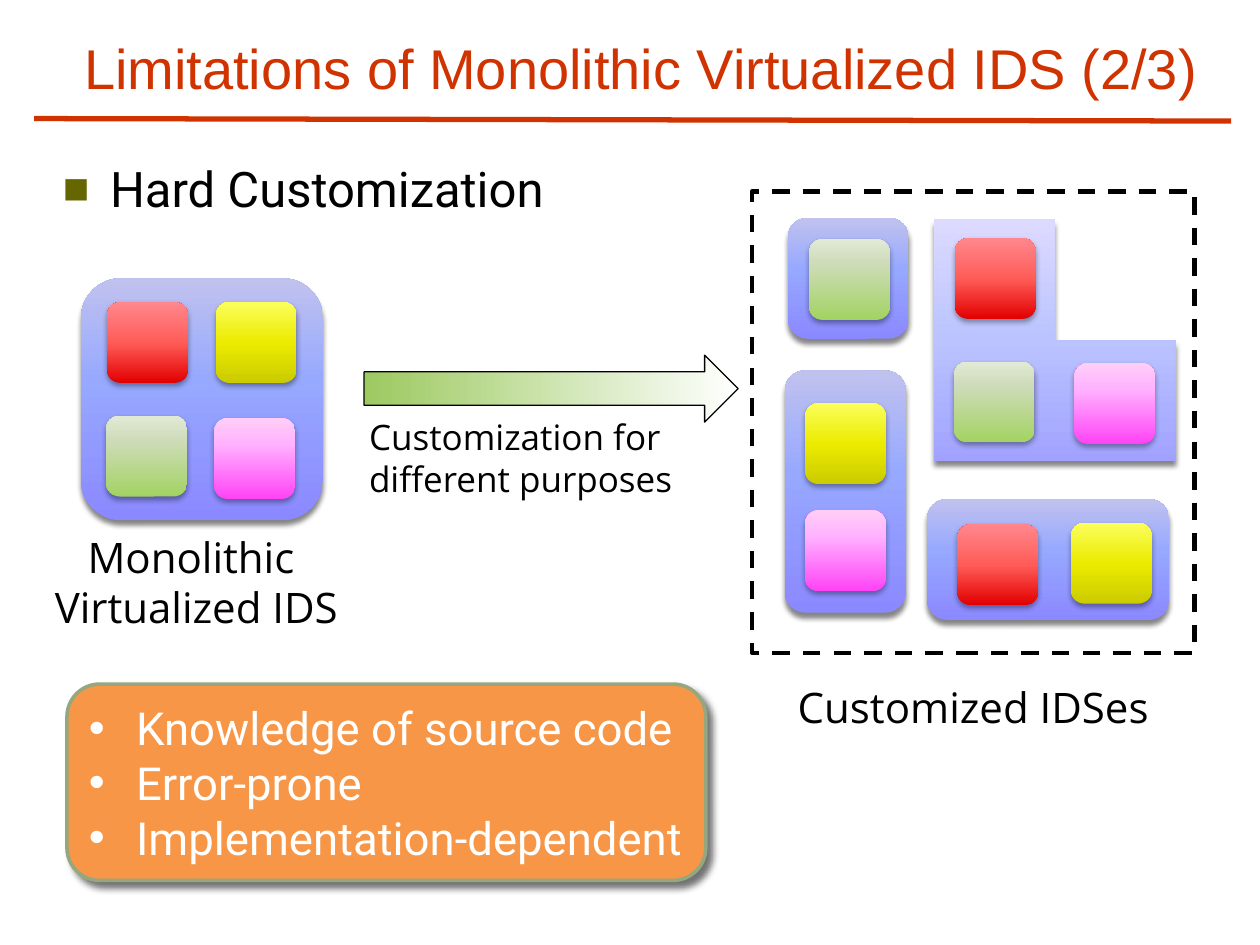
import pptx
import pptx.util
import pptx.dml.color
import pptx.enum.dml
import pptx.enum.shapes
import pptx.enum.text
import pptx.oxml.ns
import lxml.etree
from dataclasses import dataclass, field

Cm = pptx.util.Cm
Pt = pptx.util.Pt
RGB = pptx.dml.color.RGBColor.from_string
SHAPE = pptx.enum.shapes.MSO_SHAPE
ALIGN = pptx.enum.text.PP_ALIGN
ANCHOR = pptx.enum.text.MSO_ANCHOR
qn = pptx.oxml.ns.qn


@dataclass
class Theme:
    accent: str = "D03200"
    text: str = "000000"
    light: str = "FFFFFF"
    marker: str = "666600"
    callout: str = "F79646"
    callout_line: str = "95A77E"
    title: dict = field(default_factory=lambda: {"name": "Arial", "size": Pt(32)})
    heading: dict = field(default_factory=lambda: {"name": "Roboto", "size": Pt(28)})
    points: dict = field(default_factory=lambda: {"name": "Roboto", "size": Pt(26)})
    label: dict = field(default_factory=lambda: {"name": "Open Sans", "size": Pt(24)})
    note: dict = field(default_factory=lambda: {"name": "Open Sans", "size": Pt(20)})
    gradients: dict = field(default_factory=lambda: {
        "body": [(1, "8B89FF"), (58, "97A9FF"), (100, "C0C2EE")],
        "corner": [(0, "A1A2FF"), (51, "BBC4FF"), (100, "DDDAFF")],
        "red": [(0, "E20000"), (50, "FF5C58"), (100, "FF878D")],
        "yellow": [(0, "CBCB00"), (50, "EBEB00"), (100, "FBFF5B")],
        "green": [(0, "A3D362"), (72, "CFDCBB"), (100, "E2EAD5")],
        "pink": [(0, "FF43F6"), (68, "FFB2FF"), (100, "FFCEF6")],
        "arrow": [(0, "9CC960"), (100, "FFFFFF")],
    })


theme = Theme()
UNIT = 2.44
TILE = 1.63


def sub(parent, tag, **attrs):
    e = lxml.etree.SubElement(parent, qn(tag))
    for k, v in attrs.items():
        e.set(k, str(v))
    return e


def add_shape(shapes, kind, box):
    sp = shapes.add_shape(kind, *map(Cm, box))
    sp.shadow.inherit = False
    sp.fill.background()
    sp.line.fill.background()
    return sp


def set_line(sp, color, width):
    sp.line.color.rgb = RGB(color)
    sp.line.width = Pt(width)


def set_gradient(sp, name, angle=90):
    sp.fill.gradient()
    sp.fill.gradient_angle = angle
    stops = sp._element.spPr.find(qn("a:gradFill")).find(qn("a:gsLst"))
    for gs in list(stops):
        stops.remove(gs)
    for pos, color in theme.gradients[name]:
        sub(sub(stops, "a:gs", pos=pos * 1000), "a:srgbClr", val=color)


def set_shadow(sp, alpha, blur, dist, angle=90):
    effects = sp._element.spPr.find(qn("a:effectLst"))
    shadow = sub(effects, "a:outerShdw", blurRad=Pt(blur), dist=Pt(dist),
                 dir=angle * 60000, algn="ctr", rotWithShape=0)
    sub(sub(shadow, "a:srgbClr", val="000000"), "a:alpha", val=alpha * 1000)


def set_bullet(p, char, color=None, size=100):
    pPr = p._p.get_or_add_pPr()
    pPr.set("marL", str(Cm(0.95)))
    pPr.set("indent", str(-Cm(0.95)))
    if color:
        sub(sub(pPr, "a:buClr"), "a:srgbClr", val=color)
    sub(pPr, "a:buSzPct", val=size * 1000)
    sub(pPr, "a:buFont", typeface="Arial")
    sub(pPr, "a:buChar", char=char)


def write(sp, lines, style, color, align=ALIGN.LEFT, anchor=ANCHOR.TOP, wrap=True, bullet=None):
    tf = sp.text_frame
    tf.word_wrap = wrap
    tf.vertical_anchor = anchor
    for i, line in enumerate(lines):
        p = tf.add_paragraph() if i else tf.paragraphs[0]
        p.alignment = align
        if bullet:
            set_bullet(p, **bullet)
        r = p.add_run()
        r.text = line
        for k, v in style.items():
            setattr(r.font, k, v)
        r.font.color.rgb = RGB(color)


def add_text(s, box, lines, style, color=theme.text, **fmt):
    write(s.shapes.add_textbox(*map(Cm, box)), lines, style, color, **fmt)


def add_header(s, x, y, w, h):
    rule = s.shapes.add_connector(pptx.enum.shapes.MSO_CONNECTOR.STRAIGHT,
                                  Cm(x + 0.23), Cm(y + 1.96), Cm(x + 24.36), Cm(y + 2.01))
    set_line(rule, theme.accent, 3)
    sub(rule._element.spPr, "a:effectLst")
    add_text(s, (x, y, w, h), ["Limitations of Monolithic Virtualized IDS (2/3)"],
             theme.title, theme.accent, align=ALIGN.CENTER, anchor=ANCHOR.BOTTOM)


def add_ids(s, x, y, cols, rows, tiles, preset="roundRect", gradient="body"):
    g = s.shapes.add_group_shape()
    body = add_shape(g.shapes, SHAPE.ROUNDED_RECTANGLE, (x, y, cols * UNIT, rows * UNIT))
    body._element.spPr.find(qn("a:prstGeom")).set("prst", preset)
    set_gradient(body, gradient)
    set_shadow(body, 48, 3.1, 3)
    for color, dx, dy in tiles:
        tile = add_shape(g.shapes, SHAPE.ROUNDED_RECTANGLE, (x + dx, y + dy, TILE, TILE))
        set_gradient(tile, color)
        set_shadow(tile, 35, 3.1, 1.8)


def add_monolithic(s, x, y):
    add_ids(s, x + 1.15, y, 2, 2, [("red", 0.53, 0.48), ("yellow", 2.72, 0.48),
                                   ("green", 0.51, 2.77), ("pink", 2.69, 2.82)])
    add_text(s, (x, y + 4.98, 6.96, 2.31), ["Monolithic ", "Virtualized IDS"],
             theme.label, align=ALIGN.CENTER, wrap=False)


def add_customized(s, x, y, w, h):
    frame = add_shape(s.shapes, SHAPE.RECTANGLE, (x, y, w, h))
    set_line(frame, theme.text, 2.5)
    frame.line.dash_style = pptx.enum.dml.MSO_LINE.DASH
    add_ids(s, x + 3.66, y + 0.56, 2, 2,
            [("red", 0.43, 0.38), ("green", 0.41, 2.87), ("pink", 2.84, 2.9)],
            "corner", "corner")
    add_ids(s, x + 3.53, y + 6.2, 2, 1, [("red", 0.61, 0.51), ("yellow", 2.9, 0.48)])
    add_ids(s, x + 0.66, y + 3.61, 1, 2, [("pink", 0.41, 2.82), ("yellow", 0.41, 0.66)])
    add_ids(s, x + 0.72, y + 0.53, 1, 1, [("green", 0.43, 0.43)])
    add_text(s, (x - 0.07, y + h + 0.45, w + 0.14, 1.27), ["Customized IDSes"],
             theme.label, align=ALIGN.CENTER)


def add_transition(s, x, y, w, h):
    arrow = add_shape(s.shapes, SHAPE.RIGHT_ARROW, (x, y, w, h))
    set_gradient(arrow, "arrow", 0)
    set_line(arrow, theme.text, 0.75)
    add_text(s, (x - 0.15, y + 1.1, 7.04, 1.96),
             ["Customization for ", "different purposes"], theme.note, wrap=False)


def add_callout(s, x, y, w, h):
    sp = add_shape(s.shapes, SHAPE.ROUNDED_RECTANGLE, (x, y, w, h))
    sp.fill.solid()
    sp.fill.fore_color.rgb = RGB(theme.callout)
    set_line(sp, theme.callout_line, 2)
    set_shadow(sp, 55, 4, 4, 45)
    write(sp, ["Knowledge of source code", "Error-prone", "Implementation-dependent"],
          theme.points, theme.light, anchor=ANCHOR.MIDDLE, bullet={"char": "•"})


prs = pptx.Presentation()
prs.slide_width, prs.slide_height = Cm(25.4), Cm(19.05)
s = prs.slides.add_slide(prs.slide_layouts[6])
add_header(s, 0.46, 0.43, 24.94, 1.73)
add_text(s, (1.02, 3.07, 10.57, 1.9), ["Hard Customization"], theme.heading,
         bullet={"char": "■", "color": theme.marker, "size": 90})
add_monolithic(s, 0.48, 5.61)
add_customized(s, 15.16, 3.86, 8.92, 9.3)
add_transition(s, 7.34, 7.16, 7.54, 1.35)
add_callout(s, 1.35, 13.79, 12.88, 3.96)
prs.save("out.pptx")
